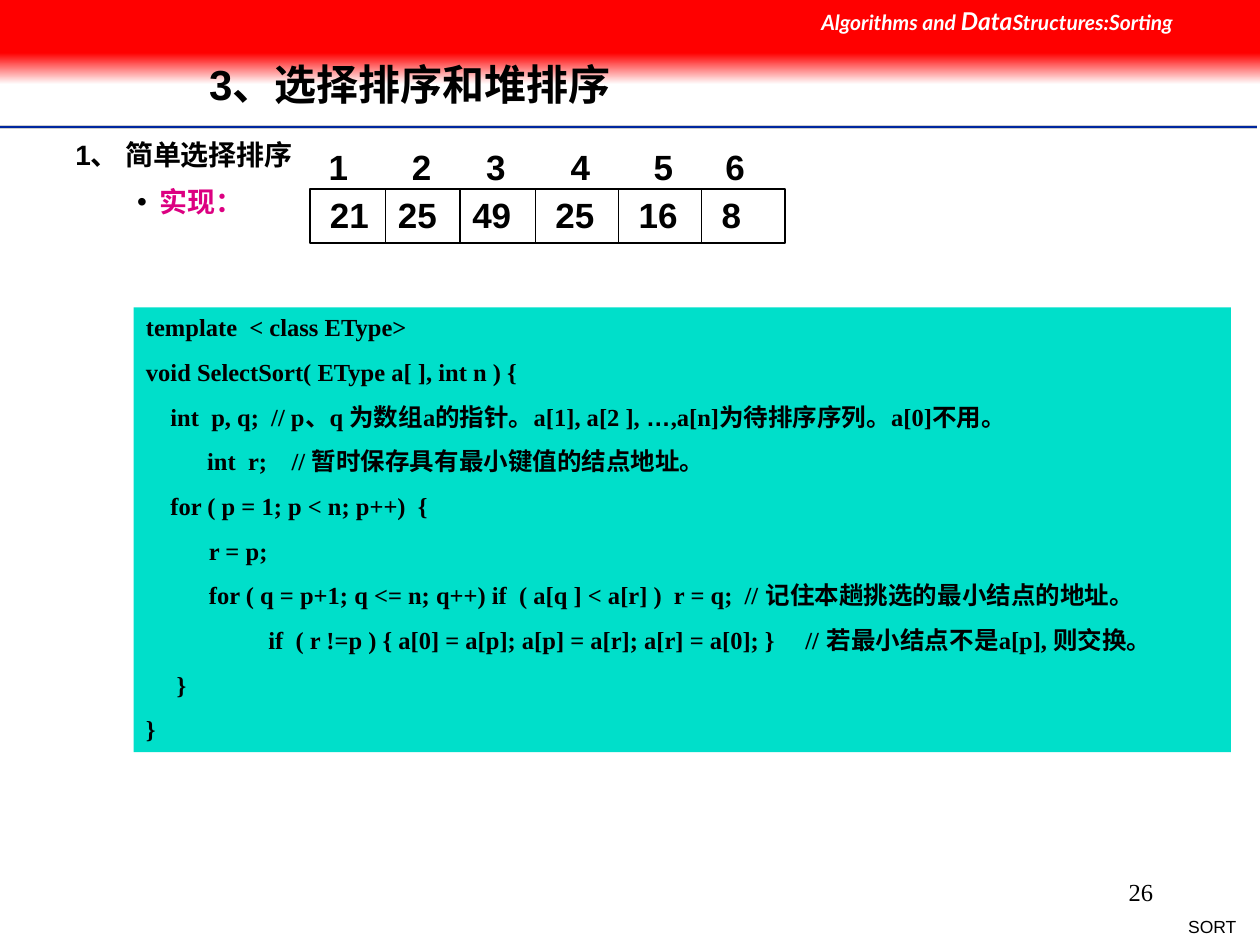
import itertools
from dataclasses import dataclass

import pptx
import pptx.dml.color
import pptx.enum.shapes
import pptx.enum.text
import pptx.oxml
import pptx.oxml.ns
import pptx.util
from lxml import etree

Inches = pptx.util.Inches
Pt = pptx.util.Pt
qn = pptx.oxml.ns.qn
Align = pptx.enum.text.PP_ALIGN
Anchor = pptx.enum.text.MSO_ANCHOR


@dataclass(frozen=True)
class Theme:
    black: str = "000000"
    white: str = "FFFFFF"
    red: str = "FF0000"
    grey: str = "CECECE"
    navy: str = "00279F"
    pink: str = "DC0081"
    teal: str = "00DFCA"
    sans: str = "Arial"
    serif: str = "Times New Roman"
    header: str = "Lato"
    chinese: str = "Noto Sans CJK SC"
    title_size: int = 24
    array_size: int = 20
    heading_size: int = 16
    code_size: int = 14
    header_size: int = 12
    footer_size: int = 10
    line_height: float = 1.15


def rgb(value):
    return pptx.dml.color.RGBColor.from_string(value)


class SlideBuilder:
    def __init__(self, page, theme):
        self.page = page
        self.theme = theme

    def span(self, para, text, size, font, color=None, bold=True, italic=False):
        span = para.add_run()
        span.text = text
        span.font.size = Pt(size)
        span.font.bold = bold
        span.font.italic = italic
        span.font.color.rgb = rgb(color or self.theme.black)
        span.font.name = font
        properties = span.font._element
        etree.SubElement(properties, qn("a:ea")).set("typeface", self.theme.chinese)

    def rectangle(self, left, top, width, height, fill, line=None):
        box = self.page.shapes.add_shape(
            pptx.enum.shapes.MSO_SHAPE.RECTANGLE,
            Inches(left), Inches(top), Inches(width), Inches(height))
        box.shadow.inherit = False
        box.fill.solid()
        box.fill.fore_color.rgb = rgb(fill)
        if line:
            box.line.color.rgb = rgb(line)
            box.line.width = Pt(0.75)
        else:
            box.line.fill.background()
        return box

    def fade(self, left, top, width, height, colors):
        box = self.rectangle(left, top, width, height, colors[0])
        box.fill.gradient()
        box.fill.gradient_angle = 270
        for stop, color in zip(box.fill.gradient_stops, colors):
            stop.color.rgb = rgb(color)

    def line(self, start, end, color, width):
        line = self.page.shapes.add_connector(
            pptx.enum.shapes.MSO_CONNECTOR.STRAIGHT,
            Inches(start[0]), Inches(start[1]), Inches(end[0]), Inches(end[1]))
        line.line.color.rgb = rgb(color)
        line.line.width = Pt(width)
        etree.SubElement(line._element.spPr, qn("a:effectLst"))

    def text_box(self, left, top, width, height, align=Align.LEFT, wrap=True):
        box = self.page.shapes.add_textbox(
            Inches(left), Inches(top), Inches(width), Inches(height))
        box.text_frame.word_wrap = wrap
        para = box.text_frame.paragraphs[0]
        para.alignment = align
        return box, para

    def label(self, text, left, top, width, height, size, font, **style):
        box, para = self.text_box(left, top, width, height)
        para.line_spacing = Pt(size * self.theme.line_height)
        self.span(para, text, size, font, **style)
        return para

    def indent(self, para, level, margin, first):
        para.level = level
        properties = para._p.get_or_add_pPr()
        properties.set("marL", str(Inches(margin)))
        properties.set("indent", str(Inches(first)))
        return properties

    def bullet(self, para, level, margin, first):
        properties = self.indent(para, level, margin, first)
        color = etree.SubElement(properties, qn("a:buClr"))
        etree.SubElement(color, qn("a:srgbClr")).set("val", self.theme.black)
        etree.SubElement(properties, qn("a:buFont")).set("typeface", self.theme.sans)
        etree.SubElement(properties, qn("a:buChar")).set("char", "•")

    def title(self, text, left, top, width, height):
        box = self.page.shapes.title
        box.element.getparent().append(box.element)
        box.left, box.top = Inches(left), Inches(top)
        box.width, box.height = Inches(width), Inches(height)
        frame = box.text_frame
        frame.auto_size = pptx.enum.text.MSO_AUTO_SIZE.NONE
        frame.vertical_anchor = Anchor.MIDDLE
        para = frame.paragraphs[0]
        para.alignment = Align.LEFT
        para.line_spacing = 0.9
        self.span(para, text, self.theme.title_size, self.theme.sans)

    def code_font(self, letter):
        if letter == "…":
            return self.theme.sans
        return self.theme.chinese if ord(letter) > 0x2E80 else self.theme.serif

    def code(self, lines, left, top, width, height):
        size = self.theme.code_size
        frame = self.rectangle(left, top, width, height, self.theme.teal).text_frame
        frame.word_wrap = True
        frame.vertical_anchor = Anchor.TOP
        for number, text in enumerate(lines):
            para = frame.add_paragraph() if number else frame.paragraphs[0]
            para.alignment = Align.JUSTIFY
            para.line_spacing = Pt(size * self.theme.line_height)
            para.space_before = Pt(9.4 if number else 0)
            for font, letters in itertools.groupby(text, self.code_font):
                self.span(para, "".join(letters), size, font)


CODE = [
    "template  < class EType>",
    "void SelectSort( EType a[ ], int n ) {",
    "    int  p, q;  // p、q 为数组a的指针。a[1], a[2 ], …,a[n]为待排序序列。a[0]不用。",
    "          int  r;    // 暂时保存具有最小键值的结点地址。",
    "    for ( p = 1; p < n; p++)  {",
    "    \tr = p;",
    "    \tfor ( q = p+1; q <= n; q++) if  ( a[q ] < a[r] )  r = q;  // 记住本趟挑选的最小结点的地址。",
    "                    if  ( r !=p ) { a[0] = a[p]; a[p] = a[r]; a[r] = a[0]; }     // 若最小结点不是a[p], 则交换。",
    "     }",
    "}",
]
INDEX_LEFTS = [2.51, 3.17, 3.76, 4.43, 5.09, 5.66]
VALUES = {"21": 2.52, "25": 3.06, "49": 3.65, "25 ": 4.31, "16": 4.97, "8": 5.63}
DIVIDERS = [3.06, 3.65, 4.25, 4.91, 5.57]


def main():
    theme = Theme()
    deck = pptx.Presentation()
    deck.slide_width, deck.slide_height = Inches(10), Inches(7.5)
    builder = SlideBuilder(deck.slides.add_slide(deck.slide_layouts[5]), theme)

    for y, color, width in [(1.01, theme.grey, 2), (1.01, theme.navy, 1), (1.03, theme.white, 1)]:
        builder.line((0, y), (9.98, y), color, width)
    builder.fade(0, 0.42, 10, 0.25, (theme.red, theme.white))
    builder.rectangle(0, 0, 10, 0.42, theme.red)

    box, para = builder.text_box(6.42, 0, 3.58, 0.34)
    for text, size in [("Algorithms and ", theme.header_size), ("Data", theme.code_size),
                       ("Structures:Sorting", theme.header_size)]:
        builder.span(para, text, size, theme.header, theme.white, italic=True)
    box, para = builder.text_box(9.32, 7.22, 0.59, 0.27, Align.RIGHT, wrap=False)
    builder.span(para, "SORT", theme.footer_size, theme.sans, bold=False)
    box, para = builder.text_box(7.17, 6.83, 2.08, 0.5, Align.RIGHT)
    box.text_frame.vertical_anchor = Anchor.MIDDLE
    builder.span(para, "26", theme.code_size, theme.serif, bold=False)

    builder.title("3、选择排序和堆排序", 1.56, 0.32, 7.55, 0.74)
    para = builder.label("实现：", 0, 1.43, 9.75, 0.37, theme.heading_size, theme.sans, color=theme.pink)
    builder.bullet(para, 3, 1.17, -0.18)
    para = builder.label("1、 简单选择排序", 0, 1.05, 2.75, 0.37, theme.heading_size, theme.sans)
    builder.indent(para, 1, 0.5, 0)

    builder.rectangle(2.46, 1.5, 3.77, 0.43, theme.white, theme.black)
    for x in DIVIDERS:
        builder.line((x, 1.5), (x, 1.93), theme.black, 0.75)
    for number, left in enumerate(INDEX_LEFTS, 1):
        builder.label(str(number), left, 1.12, 0.26, 0.44, theme.array_size, theme.sans)
    for value, left in VALUES.items():
        builder.label(value.strip(), left, 1.5, 0.53, 0.44, theme.array_size, theme.sans)

    builder.code(CODE, 1.06, 2.44, 8.71, 3.53)
    deck.save("out.pptx")


if __name__ == "__main__":
    main()
